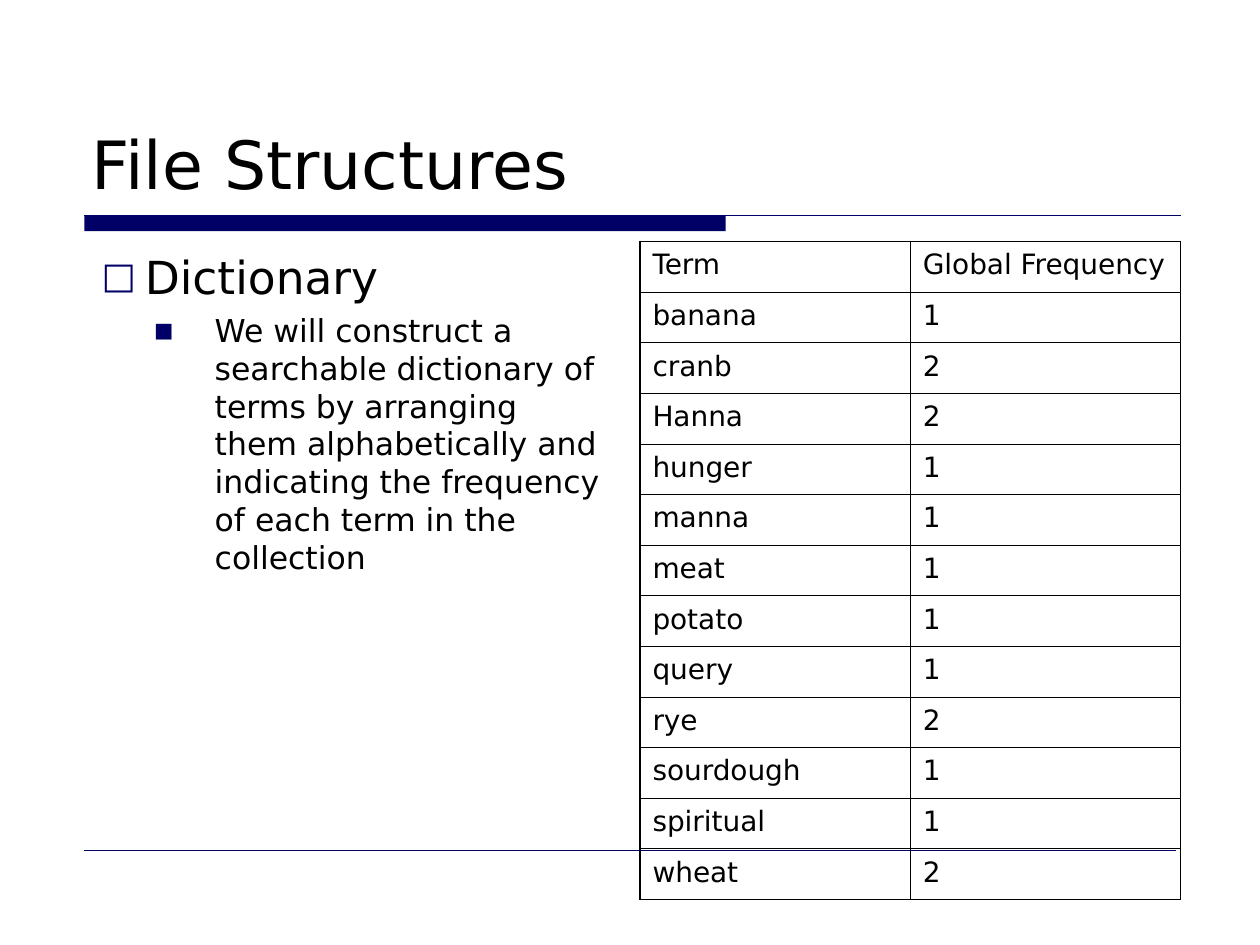
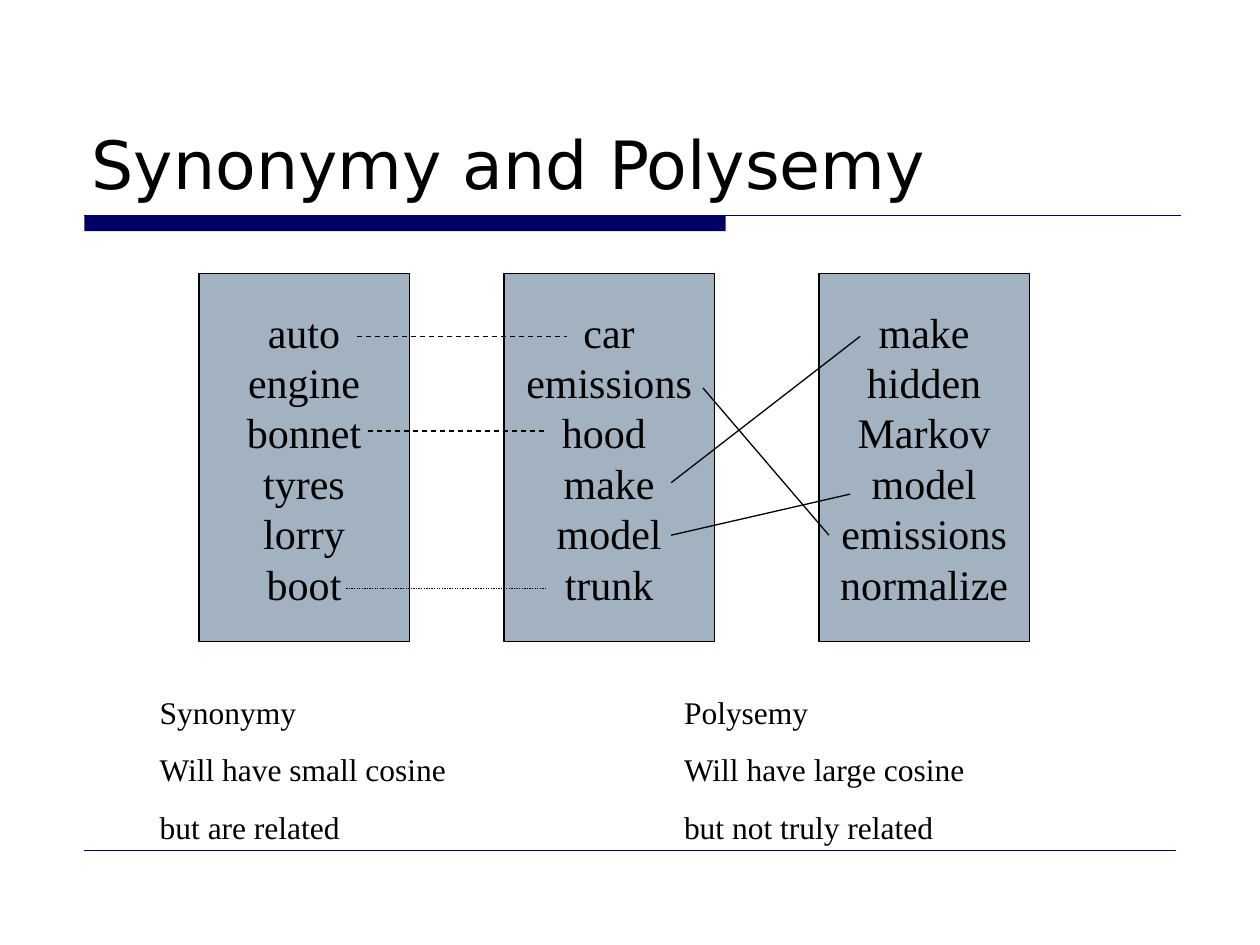
from lxml import etree
from pptx import Presentation
from pptx.dml.color import RGBColor
from pptx.enum.dml import MSO_LINE
from pptx.enum.shapes import MSO_CONNECTOR, MSO_SHAPE
from pptx.enum.text import MSO_ANCHOR, PP_ALIGN
from pptx.oxml.ns import qn
from pptx.util import Cm, Pt

NAVY = RGBColor(0x00, 0x00, 0x66)
BLACK = RGBColor(0x00, 0x00, 0x00)
PANEL_BLUE = RGBColor(0xA3, 0xB2, 0xC1)

SANS = "DejaVu Sans"
SERIF = "Times New Roman"

STRAIGHT = MSO_CONNECTOR.STRAIGHT
RECTANGLE = MSO_SHAPE.RECTANGLE
DASH, DOT = MSO_LINE.DASH, MSO_LINE.ROUND_DOT
TOP, MIDDLE, BOTTOM = MSO_ANCHOR.TOP, MSO_ANCHOR.MIDDLE, MSO_ANCHOR.BOTTOM
LEFT, CENTER = PP_ALIGN.LEFT, PP_ALIGN.CENTER

LINE_SPACING = 1.2  # line height as a multiple of the text size
THIN, THICK = 0.45, 1.08  # table borders in points

TERMS = [
    ("Term", "Global Frequency"),
    ("banana", "1"), ("cranb", "2"), ("Hanna", "2"), ("hunger", "1"),
    ("manna", "1"), ("meat", "1"), ("potato", "1"), ("query", "1"),
    ("rye", "2"), ("sourdough", "1"), ("spiritual", "1"), ("wheat", "2"),
]

# Word panels: left offset in the diagram and the words
PANELS = [
    (0, ["auto", "engine", "bonnet", "tyres", "lorry", "boot"]),
    (6.15, ["car", "emissions", "hood ", "make", "model", "trunk"]),
    (12.5, ["make", "hidden", "Markov", "model", "emissions", "normalize"]),
]

# Word links: start, end (offsets in the diagram) and dash style
LINKS = [
    ((3.18, 1.27), (7.42, 1.27), DASH),
    ((3.4, 3.18), (6.99, 3.18), DASH),
    ((2.97, 6.35), (6.99, 6.35), DOT),
    ((13.33, 1.27), (9.52, 4.22), None),
    ((13.13, 4.45), (9.52, 5.28), None),
    ((12.7, 5.28), (10.16, 2.31), None),
]


def write_text(paragraph, text, size=18, font=SANS, align=LEFT, before=0):
    """Put formatted text into a paragraph."""
    paragraph.alignment = align
    paragraph.space_before = Pt(before)
    paragraph.line_spacing = Pt(size * LINE_SPACING)
    run = paragraph.add_run()
    run.text = text
    run.font.size = Pt(size)
    run.font.name = font
    run.font.color.rgb = BLACK


def write_lines(frame, lines, **text_format):
    """Fill a text frame with one paragraph for each line."""
    for index, line in enumerate(lines):
        paragraph = frame.add_paragraph() if index else frame.paragraphs[0]
        write_text(paragraph, line, **text_format)


def add_frame(slide, left, top, width, height, anchor=TOP, inset=0.13):
    """Add a wrapping text box and return its text frame."""
    box = slide.shapes.add_textbox(Cm(left), Cm(top), Cm(width), Cm(height))
    frame = box.text_frame
    frame.word_wrap = True
    frame.vertical_anchor = anchor
    frame.margin_top = frame.margin_bottom = Cm(inset)
    return frame


def add_line(slide, start, end, color=BLACK, width=0.75, dash=None):
    connector = slide.shapes.add_connector(STRAIGHT, *map(Cm, start + end))
    connector.line.color.rgb = color
    connector.line.width = Pt(width)
    if dash:
        connector.line.dash_style = dash
    etree.SubElement(connector._element.spPr, qn("a:effectLst"))


def add_rectangle(slide, left, top, width, height, color):
    shape = slide.shapes.add_shape(
        RECTANGLE, Cm(left), Cm(top), Cm(width), Cm(height))
    shape.shadow.inherit = False
    shape.fill.solid()
    shape.fill.fore_color.rgb = color
    return shape


def set_bullet(paragraph, symbol, margin, indent, percent):
    properties = paragraph._p.get_or_add_pPr()
    properties.set("marL", str(Cm(margin)))
    properties.set("indent", str(Cm(indent)))
    color = etree.SubElement(properties, qn("a:buClr"))
    etree.SubElement(color, qn("a:srgbClr"), val=str(NAVY))
    etree.SubElement(properties, qn("a:buSzPct"), val=str(percent * 1000))
    etree.SubElement(properties, qn("a:buFont"), typeface=SANS)
    etree.SubElement(properties, qn("a:buChar"), char=symbol)


def set_borders(cell, **widths):
    """Draw the cell's sides; keywords L, R, T, B give widths in points."""
    properties = cell._tc.get_or_add_tcPr()
    for side, width in widths.items():
        line = etree.SubElement(properties, qn(f"a:ln{side}"), w=str(Pt(width)))
        fill = etree.SubElement(line, qn("a:solidFill"))
        etree.SubElement(fill, qn("a:srgbClr"), val=str(BLACK))


def add_base_slide(presentation, title):
    """Blank slide with the shared title, title band and footer rule."""
    slide = presentation.slides.add_slide(presentation.slide_layouts[6])
    left, band_top, footer_top = 1.7, 4.35, 17.15
    add_rectangle(slide, left, band_top, 12.93, 0.31, NAVY).line.fill.background()
    add_line(slide, (left, band_top), (23.8, band_top), color=NAVY)
    add_line(slide, (left, footer_top), (23.7, footer_top), color=NAVY, width=0.25)
    frame = add_frame(slide, 1.6, 0.84, 22.23, 3.38, anchor=BOTTOM)
    write_lines(frame, [title], size=38)
    return slide


def add_dictionary_text(slide, left, top, width, height):
    frame = add_frame(slide, left, top, width, height)
    heading = frame.paragraphs[0]
    write_text(heading, "Dictionary", size=26, before=6.5)
    set_bullet(heading, "□", 1.1, -0.87, 80)
    detail = frame.add_paragraph()
    write_text(
        detail,
        "We will construct a searchable dictionary of terms by arranging them "
        "alphabetically and indicating the frequency of each term in the collection",
        before=4.5)
    set_bullet(detail, "■", 2.51, -1.22, 65)


def add_term_table(slide, left, top, width, row_height):
    rows, columns = len(TERMS), len(TERMS[0])
    table = slide.shapes.add_table(
        rows, columns, Cm(left), Cm(top), Cm(width), Cm(row_height * rows)).table
    table.first_row = table.horz_banding = False
    for row, values in enumerate(TERMS):
        table.rows[row].height = Cm(row_height)
        for column, value in enumerate(values):
            cell = table.cell(row, column)
            write_text(cell.text_frame.paragraphs[0], value, size=16)
            # Thick outline, thin inner grid
            set_borders(
                cell,
                L=THIN if column else THICK,
                R=THICK if column == columns - 1 else THIN,
                T=THIN if row else THICK,
                B=THICK if row == rows - 1 else THIN)
            cell.fill.background()


def add_word_diagram(slide, left, top, panel_width, panel_height):
    for offset, words in PANELS:
        panel = add_rectangle(
            slide, left + offset, top, panel_width, panel_height, PANEL_BLUE)
        panel.line.color.rgb = BLACK
        panel.line.width = Pt(0.75)
        panel.text_frame.word_wrap = False
        panel.text_frame.vertical_anchor = MIDDLE
        write_lines(panel.text_frame, words, size=24, font=SERIF, align=CENTER)
    for start, end, dash in LINKS:
        add_line(slide, (left + start[0], top + start[1]),
                 (left + end[0], top + end[1]), dash=dash)


def add_caption(slide, left, top, width, height, lines):
    frame = add_frame(slide, left, top, width, height, inset=0)
    write_lines(frame, lines, font=SERIF, before=11.2)


def build_file_structures(presentation):
    slide = add_base_slide(presentation, "File Structures")
    add_dictionary_text(slide, 1.57, 4.88, 10.9, 11.86)
    add_term_table(slide, 12.9, 4.87, 10.9, 1.02)


def build_synonymy(presentation):
    slide = add_base_slide(presentation, "Synonymy and Polysemy")
    add_word_diagram(slide, 4.01, 5.51, 4.24, 7.42)
    add_caption(slide, 2.97, 13.97, 6.35, 3.07,
                ["Synonymy", "Will have small cosine", "but are related"])
    add_caption(slide, 13.54, 13.97, 7.42, 3.07,
                ["Polysemy", "Will have large cosine", "but not truly related"])


def main():
    presentation = Presentation()
    presentation.slide_width = Cm(25.4)
    presentation.slide_height = Cm(19.05)
    build_file_structures(presentation)
    build_synonymy(presentation)
    presentation.save("out.pptx")


if __name__ == "__main__":
    main()
